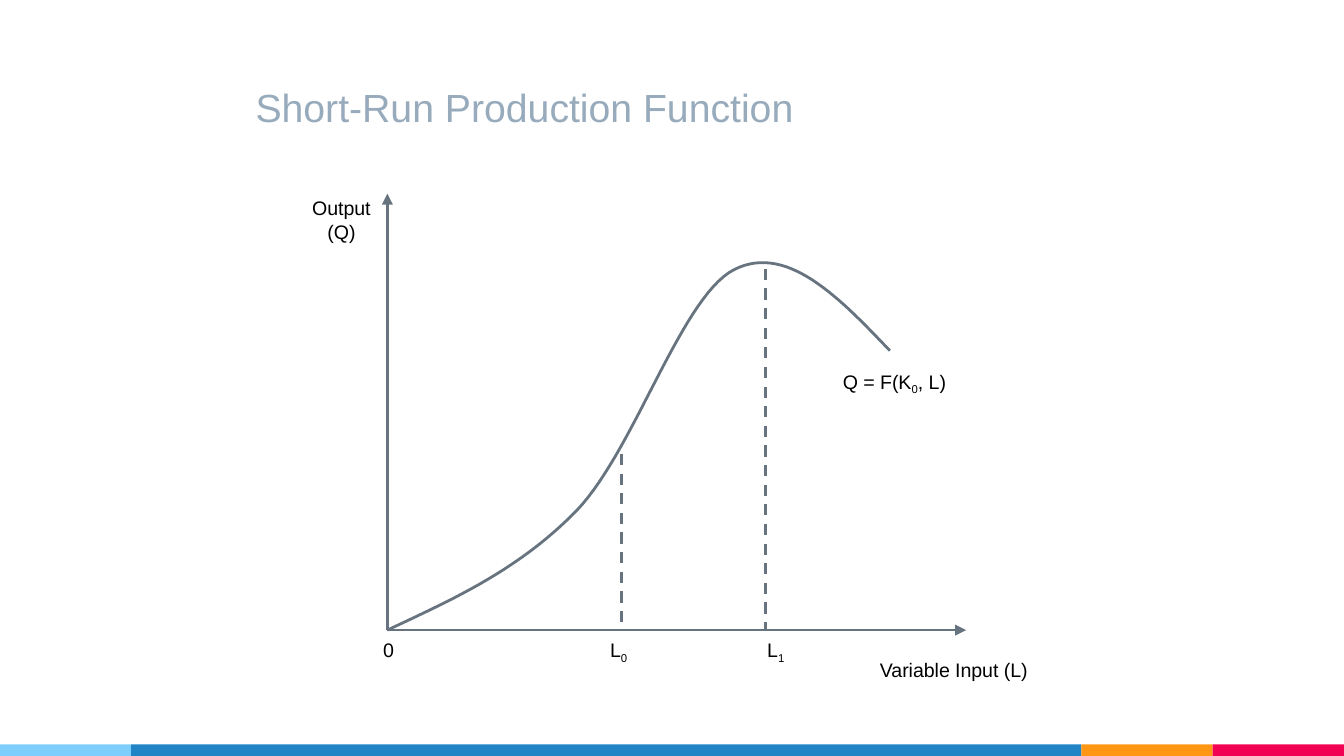
import itertools

import pptx
import pptx.dml.color
import pptx.enum.dml
import pptx.enum.shapes
import pptx.enum.text
import pptx.oxml
import pptx.oxml.ns
import pptx.util

Cm, Pt = pptx.util.Cm, pptx.util.Pt
RGBColor = pptx.dml.color.RGBColor
ALIGN = pptx.enum.text.PP_ALIGN
ANCHOR = pptx.enum.text.MSO_ANCHOR
SHAPE = pptx.enum.shapes.MSO_SHAPE
STRAIGHT = pptx.enum.shapes.MSO_CONNECTOR.STRAIGHT
DASH = pptx.enum.dml.MSO_LINE.DASH

SKY = RGBColor(0x7E, 0xCE, 0xFD)
BLUE = RGBColor(0x21, 0x85, 0xC5)
ORANGE = RGBColor(0xFF, 0x97, 0x15)
PINK = RGBColor(0xF2, 0x02, 0x53)
SLATE = RGBColor(0x67, 0x74, 0x80)
MIST = RGBColor(0x97, 0xAB, 0xBC)
BLACK = RGBColor(0, 0, 0)

WIDE, HIGH = 25.4, 14.29
CURVE = [
    [(0, 0), (1.24, 0.58), (2.49, 1.14), (3.58, 2.26)],
    [(3.58, 2.26), (4.67, 3.4), (5.56, 6.3), (6.55, 6.81)],
    [(6.55, 6.81), (7.54, 7.32), (8.53, 6.3), (9.5, 5.28)],
]
STEPS = 30


def style(item, values):
    for name, value in values.items():
        setattr(item, name, value)


def write(slide, box, lines, size, color, align=ALIGN.LEFT, frame=None):
    text = slide.shapes.add_textbox(*map(Cm, box)).text_frame
    style(text, frame or {"word_wrap": False})
    for index, line in enumerate(lines):
        para = text.add_paragraph() if index else text.paragraphs[0]
        para.alignment = align
        for order, part in enumerate(line.split("_")):
            run = para.add_run()
            run.text = part
            style(run.font, {"name": "Arial", "size": Pt(size)})
            run.font.color.rgb = color
            if order % 2:
                run.font._element.set("baseline", "-25000")


def ink(line, dash=None):
    line.color.rgb = SLATE
    style(line, {"width": Pt(1.5), "dash_style": dash})


def rule(slide, start, end, dash=None, arrow=False):
    line = slide.shapes.add_connector(STRAIGHT, *map(Cm, start + end))
    ink(line.line, dash)
    props = line._element.spPr
    if arrow:
        tip = pptx.oxml.parse_xml(
            f'<a:tailEnd {pptx.oxml.ns.nsdecls("a")} type="triangle"/>'
        )
        line.line._get_or_add_ln().append(tip)
    props.append(pptx.oxml.parse_xml(f'<a:effectLst {pptx.oxml.ns.nsdecls("a")}/>'))


def bezier(points, t):
    while len(points) > 1:
        points = [
            tuple(a + (b - a) * t for a, b in zip(p, q))
            for p, q in itertools.pairwise(points)
        ]
    return points[0]


def title(slide, box):
    inset = Cm(0.25)
    frame = {
        "word_wrap": True, "vertical_anchor": ANCHOR.BOTTOM,
        "margin_left": inset, "margin_right": inset,
        "margin_top": inset, "margin_bottom": inset,
    }
    write(slide, box, ["Short-Run Production Function"], 21, MIST, frame=frame)


def graph(slide, box):
    left, top, width, height = box
    base = top + height
    rule(slide, (left, base), (left, top), arrow=True)
    rule(slide, (left, base), (left + width, base), arrow=True)
    for x, rise in [(4.42, 3.33), (7.14, 6.83)]:
        rule(slide, (left + x, base - rise), (left + x, base), DASH)

    spots = [bezier(part, n / STEPS) for part in CURVE for n in range(1, STEPS + 1)]
    spots = [(Cm(left + x), Cm(base - y)) for x, y in spots]
    maker = slide.shapes.build_freeform(Cm(left), Cm(base))
    maker.add_line_segments(spots, close=False)
    curve = maker.convert_to_shape()
    curve.shadow.inherit = False
    curve.fill.background()
    ink(curve.line)

    labels = [
        (-1.68, -0.08, 1.63, 1.14, ["Output", "(Q)"], ALIGN.CENTER),
        (9.06, 8.66, 3.38, 0.71, ["Variable Input (L)"], ALIGN.LEFT),
        (-0.33, 8.28, 0.71, 0.71, ["0"], ALIGN.LEFT),
        (3.96, 8.28, 0.86, 0.71, ["L_0"], ALIGN.LEFT),
        (6.93, 8.28, 0.86, 0.71, ["L_1"], ALIGN.LEFT),
        (8.33, 3.2, 2.51, 0.71, ["Q = F(K_0_, L)"], ALIGN.CENTER),
    ]
    for x, y, wide, high, lines, align in labels:
        write(slide, (left + x, top + y, wide, high), lines, 10.5, BLACK, align)


def footer(slide, box):
    left, top, width, height = box
    small = 2.48
    parts = [(SKY, small), (BLUE, width - 3 * small), (ORANGE, small), (PINK, small)]
    for color, wide in parts:
        bar = slide.shapes.add_shape(
            SHAPE.RECTANGLE, Cm(left), Cm(top), Cm(wide), Cm(height)
        )
        bar.shadow.inherit = False
        bar.fill.solid()
        bar.fill.fore_color.rgb = color
        bar.line.fill.background()
        left += wide


def main():
    deck = pptx.Presentation()
    style(deck, {"slide_width": Cm(WIDE), "slide_height": Cm(HIGH)})
    slide = deck.slides.add_slide(deck.slide_layouts[6])
    footer(slide, (0, 14.07, WIDE, 0.22))
    graph(slide, (7.32, 3.66, 10.94, 8.25))
    title(slide, (4.58, 0.81, 17.65, 1.9))
    deck.save("out.pptx")


if __name__ == "__main__":
    main()
